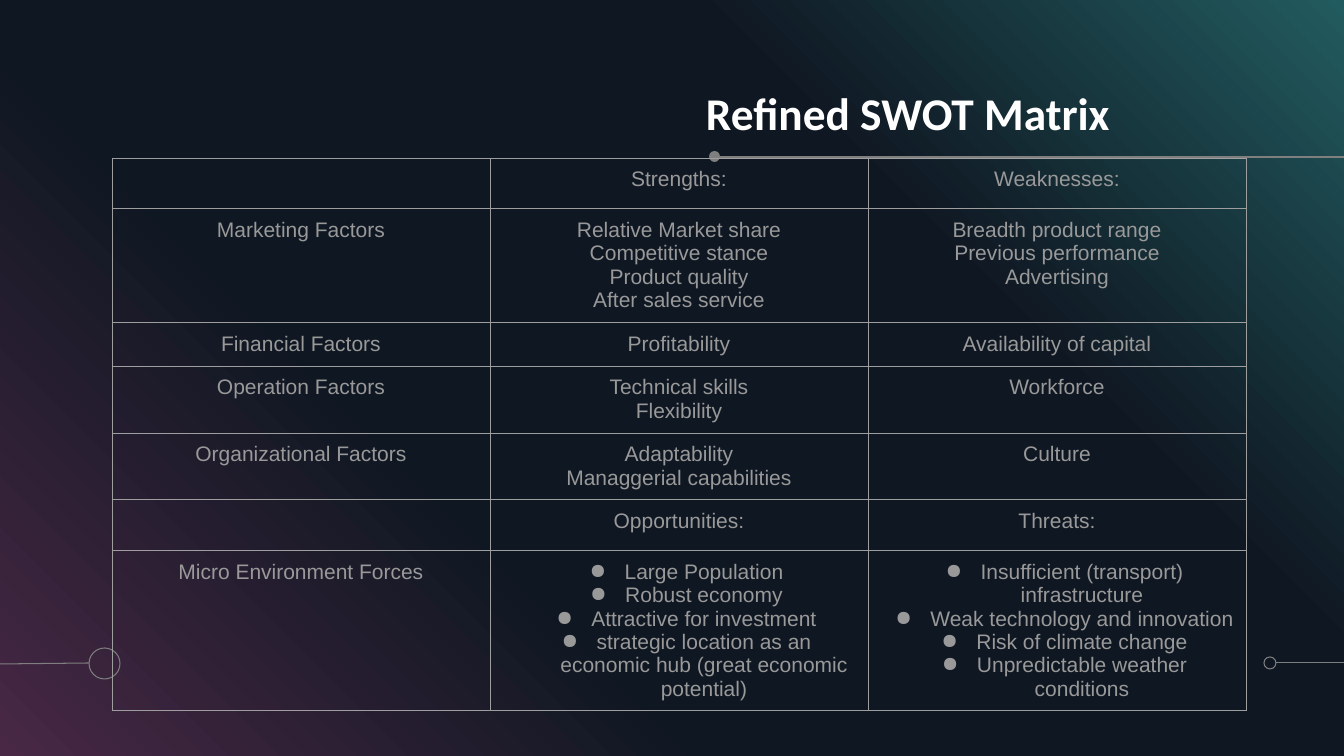
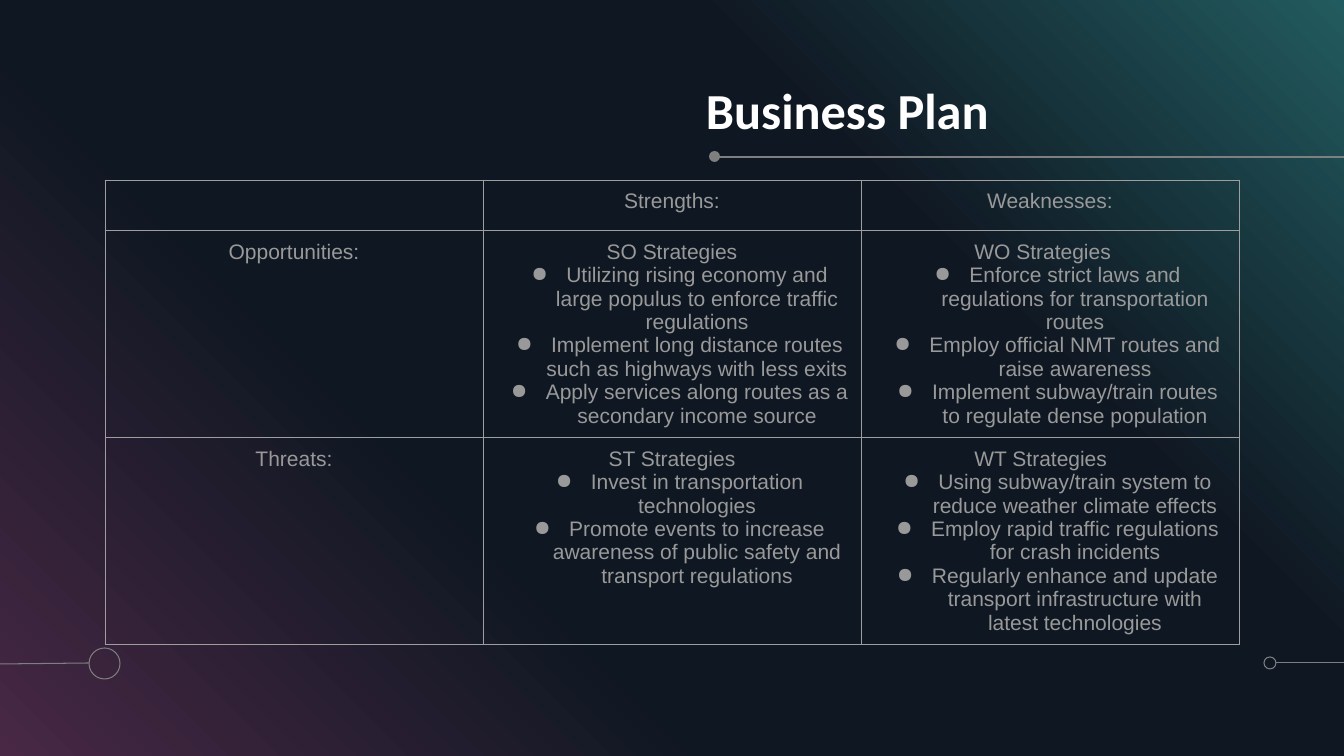
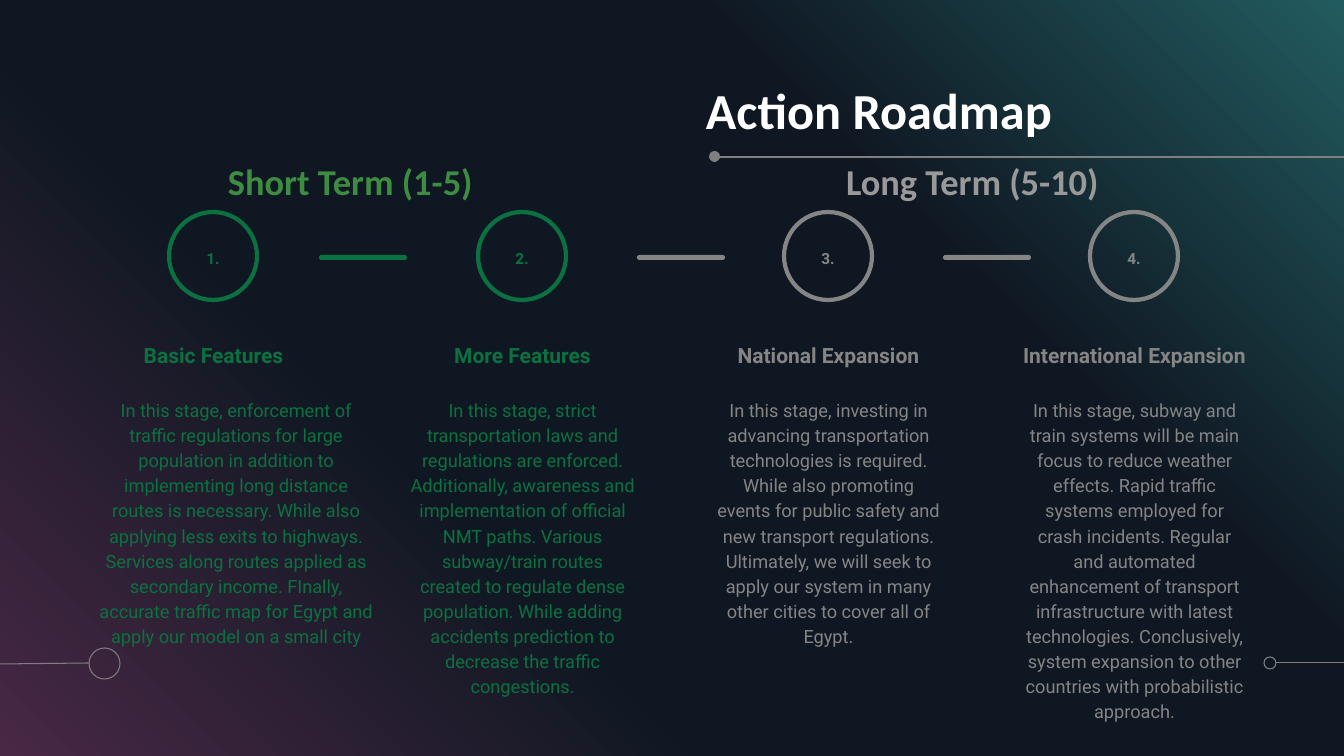
"""Builds three dark strategy slides: a SWOT matrix, a business plan and a roadmap."""
from dataclasses import dataclass

from lxml.etree import SubElement
from pptx import Presentation
from pptx.dml.color import RGBColor
from pptx.enum.shapes import MSO_CONNECTOR, MSO_SHAPE
from pptx.enum.text import MSO_ANCHOR, PP_ALIGN
from pptx.oxml.ns import qn
from pptx.util import Pt


@dataclass(frozen=True)
class Theme:
    """Colours, fonts and type sizes of the slides."""
    white: str = "FFFFFF"
    text: str = "999999"
    ornament: str = "7F7F7F"
    border: str = "9E9E9E"
    short_title: str = "3D8C41"
    short_term: str = "0B7140"
    long_term: str = "858585"
    backdrop: tuple = ((0, "482845"), (34, "0F1722"), (69, "0F1722"), (100, "225B5F"))
    title_font: str = "Calibri"
    table_font: str = "Arial"
    roadmap_font: str = "Roboto"
    title_size: float = 36
    term_size: float = 26
    table_size: float = 15
    number_size: float = 11
    heading_size: float = 15
    body_size: float = 13
    hairline: float = 0.75
    ring_line: float = 3


THEME = Theme()
WIDTH, HEIGHT = 1344, 756
SCALE = 12192000 / WIDTH
BULLET = "● "
COLUMN_WIDTH = 378

ORNAMENT_LINES = [(1344, 157, 718, 157), (1276, 663, 1344, 663), (0, 664, 89, 663)]
ORNAMENT_CIRCLES = [(709, 151, 11, True), (1264, 657, 12, False), (89, 648, 31, False)]

SWOT = {
    "title": "Refined SWOT Matrix",
    "title_size": 32.4,
    "origin": (112, 158),
    "row_heights": [48, 114, 43, 67, 67, 48, 160],
    "rows": [
        [[], ["Strengths:"], ["Weaknesses:"]],
        [["Marketing Factors"],
         ["Relative Market share", "Competitive stance", "Product quality", "After sales service"],
         ["Breadth product range", "Previous performance", "Advertising"]],
        [["Financial Factors"], ["Profitability"], ["Availability of capital"]],
        [["Operation Factors"], ["Technical skills", "Flexibility"], ["Workforce"]],
        [["Organizational Factors"], ["Adaptability", "Managgerial capabilities"], ["Culture"]],
        [[], ["Opportunities:"], ["Threats:"]],
        [["Micro Environment Forces"],
         ["● Large Population", "● Robust economy", "● Attractive for investment",
          "● strategic location as an economic hub (great economic potential)"],
         ["● Insufficient (transport) infrastructure", "● Weak technology and innovation",
          "● Risk of climate change", "● Unpredictable weather conditions"]],
    ],
}

PLAN = {
    "title": "Business Plan",
    "title_size": THEME.title_size,
    "origin": (105, 180),
    "row_heights": [48, 207, 207],
    "rows": [
        [[], ["Strengths:"], ["Weaknesses:"]],
        [["Opportunities:"],
         ["SO Strategies",
          "● Utilizing rising economy and large populus to enforce traffic regulations",
          "● Implement long distance routes such as highways with less exits",
          "● Apply services along routes as a secondary income source"],
         ["WO Strategies\t",
          "● Enforce strict laws and regulations for transportation routes",
          "● Employ official NMT routes and raise awareness",
          "● Implement subway/train routes to regulate dense population"]],
        [["Threats:"],
         ["ST Strategies",
          "● Invest in transportation technologies",
          "● Promote events to increase awareness of public safety and transport regulations"],
         ["WT Strategies\t",
          "● Using subway/train system to reduce weather climate effects",
          "● Employ rapid traffic regulations for crash incidents",
          "● Regularly enhance and update transport infrastructure with latest technologies"]],
    ],
}

ROADMAP_TITLE = "Action Roadmap"
TERMS = [("Short Term (1-5)", 103, THEME.short_title), ("Long Term (5-10)", 725, THEME.text)]
BARS = [(319, THEME.short_term), (637, THEME.long_term), (943, THEME.long_term)]
STAGES = [
    {"centre": 213, "colour": THEME.short_term, "heading": "Basic Features",
     "body_box": (84, 383, 304, 109),
     "body": "In this stage, enforcement of traffic regulations for large population in addition "
             "to implementing long distance routes is necessary. While also applying less exits "
             "to highways. Services along routes applied as secondary income. FInally, accurate "
             "traffic map for Egypt and apply our model on a small city"},
    {"centre": 522, "colour": THEME.short_term, "heading": "More Features",
     "body_box": (397, 383, 251, 229),
     "body": "In this stage, strict transportation laws and regulations are enforced. "
             "Additionally, awareness and implementation of official NMT paths. Various "
             "subway/train routes created to regulate dense population. While adding accidents "
             "prediction to decrease the traffic congestions."},
    {"centre": 828, "colour": THEME.long_term, "heading": "National Expansion",
     "body_box": (703, 383, 251, 109),
     "body": "In this stage, investing in advancing transportation technologies is required. "
             "While also promoting events for public safety and new transport regulations. "
             "Ultimately, we will seek to apply our system in many other cities to cover all of "
             "Egypt."},
    {"centre": 1134, "colour": THEME.long_term, "heading": "International Expansion",
     "body_box": (1009, 383, 251, 184),
     "body": "In this stage, subway and train systems will be main focus to reduce weather "
             "effects. Rapid traffic systems employed for crash incidents. Regular and automated "
             "enhancement of transport infrastructure with latest technologies. Conclusively, "
             "system expansion to other countries with probabilistic approach."},
]


def px(length):
    """Turn pixels into EMU."""
    return round(length * SCALE)


def box(*lengths):
    """Turn several pixel lengths into EMU."""
    return [px(length) for length in lengths]


def colour(value):
    """Turn a hex string into a colour."""
    return RGBColor.from_string(value)


def add_run(paragraph, text, font, size, shade, bold=False):
    """Append one formatted run."""
    run = paragraph.add_run()
    run.text = text
    run.font.name = font
    run.font.size = Pt(size)
    run.font.bold = bold
    run.font.color.rgb = colour(shade)


def set_margins(target, margin):
    """Give a text frame or a table cell four equal margins."""
    target.margin_left = target.margin_right = px(margin)
    target.margin_top = target.margin_bottom = px(margin)


def write_label(shape, text, font, size, shade, bold=True, margin=13, spacing=1.15,
                align=PP_ALIGN.CENTER, anchor=MSO_ANCHOR.TOP):
    """Fill a shape with one paragraph."""
    frame = shape.text_frame
    frame.word_wrap = True
    frame.vertical_anchor = anchor
    set_margins(frame, margin)
    paragraph = frame.paragraphs[0]
    paragraph.alignment = align
    paragraph.line_spacing = spacing
    add_run(paragraph, text, font, size, shade, bold)


def add_solid(shapes, kind, place, shade):
    """Add a filled shape without outline."""
    shape = shapes.add_shape(kind, *box(*place))
    shape.shadow.inherit = False
    shape.fill.solid()
    shape.fill.fore_color.rgb = colour(shade)
    shape.line.fill.background()
    return shape


def add_ring(shapes, place, shade, weight):
    """Add an outlined circle."""
    shape = shapes.add_shape(MSO_SHAPE.OVAL, *box(*place))
    shape.shadow.inherit = False
    shape.fill.background()
    shape.line.color.rgb = colour(shade)
    shape.line.width = Pt(weight)
    return shape


def add_line(shapes, ends):
    """Add a thin ornament line."""
    line = shapes.add_connector(MSO_CONNECTOR.STRAIGHT, *box(*ends))
    line.line.color.rgb = colour(THEME.ornament)
    line.line.width = Pt(THEME.hairline)
    SubElement(line.element.spPr, qn("a:effectLst"))
    return line


def add_backdrop(shapes):
    """Add the diagonal gradient behind everything."""
    shape = shapes.add_shape(MSO_SHAPE.RECTANGLE, *box(0, 0, WIDTH, HEIGHT))
    shape.shadow.inherit = False
    shape.line.fill.background()
    shape.fill.gradient()
    shape.fill.gradient_angle = 45
    stops = shape.element.spPr.find(".//" + qn("a:gsLst"))
    for stop in list(stops):
        stops.remove(stop)
    for position, shade in THEME.backdrop:
        stop = SubElement(stops, qn("a:gs"), pos=str(position * 1000))
        SubElement(stop, qn("a:srgbClr"), val=shade)
    return shape


def decorate_layout(layout, slide):
    """Draw the shared decoration and hand it over to the layout."""
    shapes = slide.shapes
    ornaments = [add_backdrop(shapes)]
    ornaments += [add_line(shapes, ends) for ends in ORNAMENT_LINES]
    for left, top, size, filled in ORNAMENT_CIRCLES:
        place = (left, top, size, size)
        if filled:
            ornaments.append(add_solid(shapes, MSO_SHAPE.OVAL, place, THEME.ornament))
        else:
            ornaments.append(add_ring(shapes, place, THEME.ornament, THEME.hairline))
    for number, ornament in enumerate(ornaments, start=100):
        ornament.element.xpath(".//p:cNvPr")[0].set("id", str(number))
        layout.shapes.element.append(ornament.element)


def set_title(slide, text, size):
    """Place and format the slide title."""
    title = slide.shapes.title
    title.left, title.top, title.width, title.height = box(706, 78, 495, 62)
    write_label(title, text, THEME.title_font, size, THEME.white, margin=0, spacing=0.9,
                align=PP_ALIGN.LEFT, anchor=MSO_ANCHOR.BOTTOM)


def set_bullet(paragraph):
    """Give a paragraph a hanging round bullet."""
    properties = paragraph._p.get_or_add_pPr()
    properties.set("marL", str(px(50)))
    properties.set("indent", str(px(-35)))
    shade = SubElement(properties, qn("a:buClr"))
    SubElement(shade, qn("a:srgbClr"), val=THEME.text)
    SubElement(properties, qn("a:buChar"), char=BULLET.strip())


def set_borders(cell):
    """Draw a thin line on all four sides of a cell."""
    properties = cell._tc.get_or_add_tcPr()
    for index, side in enumerate(("lnL", "lnR", "lnT", "lnB")):
        line = SubElement(properties, qn("a:" + side), w=str(Pt(THEME.hairline)))
        fill = SubElement(line, qn("a:solidFill"))
        SubElement(fill, qn("a:srgbClr"), val=THEME.border)
        properties.insert(index, line)


def fill_cell(cell, lines):
    """Write the centred lines of one cell."""
    cell.fill.background()
    set_borders(cell)
    set_margins(cell, 10)
    for index, line in enumerate(lines):
        frame = cell.text_frame
        paragraph = frame.add_paragraph() if index else frame.paragraphs[0]
        paragraph.alignment = PP_ALIGN.CENTER
        if line.startswith(BULLET):
            set_bullet(paragraph)
        add_run(paragraph, line.removeprefix(BULLET), THEME.table_font, THEME.table_size,
                THEME.text)


def build_matrix(slide, matrix):
    """Build a slide with a title and a table."""
    set_title(slide, matrix["title"], matrix["title_size"])
    rows, heights = matrix["rows"], matrix["row_heights"]
    columns = len(rows[0])
    table = slide.shapes.add_table(
        len(rows), columns, *box(*matrix["origin"], columns * COLUMN_WIDTH, sum(heights))).table
    table.first_row = table.horz_banding = False
    for column in table.columns:
        column.width = px(COLUMN_WIDTH)
    for row, height, contents in zip(table.rows, heights, rows):
        row.height = px(height)
        for cell, lines in zip(row.cells, contents):
            fill_cell(cell, lines)


def add_stage(slide, number, stage):
    """Add one roadmap stage as a group."""
    shapes = slide.shapes.add_group_shape().shapes
    centre, shade = stage["centre"], stage["colour"]
    add_ring(shapes, (centre - 44, 212, 88, 88), shade, THEME.ring_line)
    labels = [
        (f"{number}.", (centre - 32, 236, 64, 47), THEME.number_size, True, MSO_ANCHOR.TOP),
        (stage["heading"], (centre - 125, 315, 251, 66), THEME.heading_size, True,
         MSO_ANCHOR.BOTTOM),
        (stage["body"], stage["body_box"], THEME.body_size, False, MSO_ANCHOR.TOP),
    ]
    for text, place, size, bold, anchor in labels:
        write_label(shapes.add_textbox(*box(*place)), text, THEME.roadmap_font, size, shade,
                    bold, anchor=anchor)


def build_roadmap(slide):
    """Build the roadmap slide."""
    set_title(slide, ROADMAP_TITLE, THEME.title_size)
    for left, shade in BARS:
        bar = add_solid(slide.shapes, MSO_SHAPE.ROUNDED_RECTANGLE, (left, 255, 88, 5), shade)
        bar.adjustments[0] = 0.5
    for number, stage in enumerate(STAGES, start=1):
        add_stage(slide, number, stage)
    for text, left, shade in TERMS:
        write_label(slide.shapes.add_textbox(*box(left, 141, 495, 62)), text, THEME.title_font,
                    THEME.term_size, shade, margin=0, spacing=0.9, anchor=MSO_ANCHOR.BOTTOM)


def main():
    """Build and save the presentation."""
    presentation = Presentation()
    presentation.slide_width, presentation.slide_height = box(WIDTH, HEIGHT)
    layout = presentation.slide_layouts[5]
    swot, plan, roadmap = [presentation.slides.add_slide(layout) for _ in range(3)]
    decorate_layout(layout, swot)
    build_matrix(swot, SWOT)
    build_matrix(plan, PLAN)
    build_roadmap(roadmap)
    presentation.save("out.pptx")


if __name__ == "__main__":
    main()
